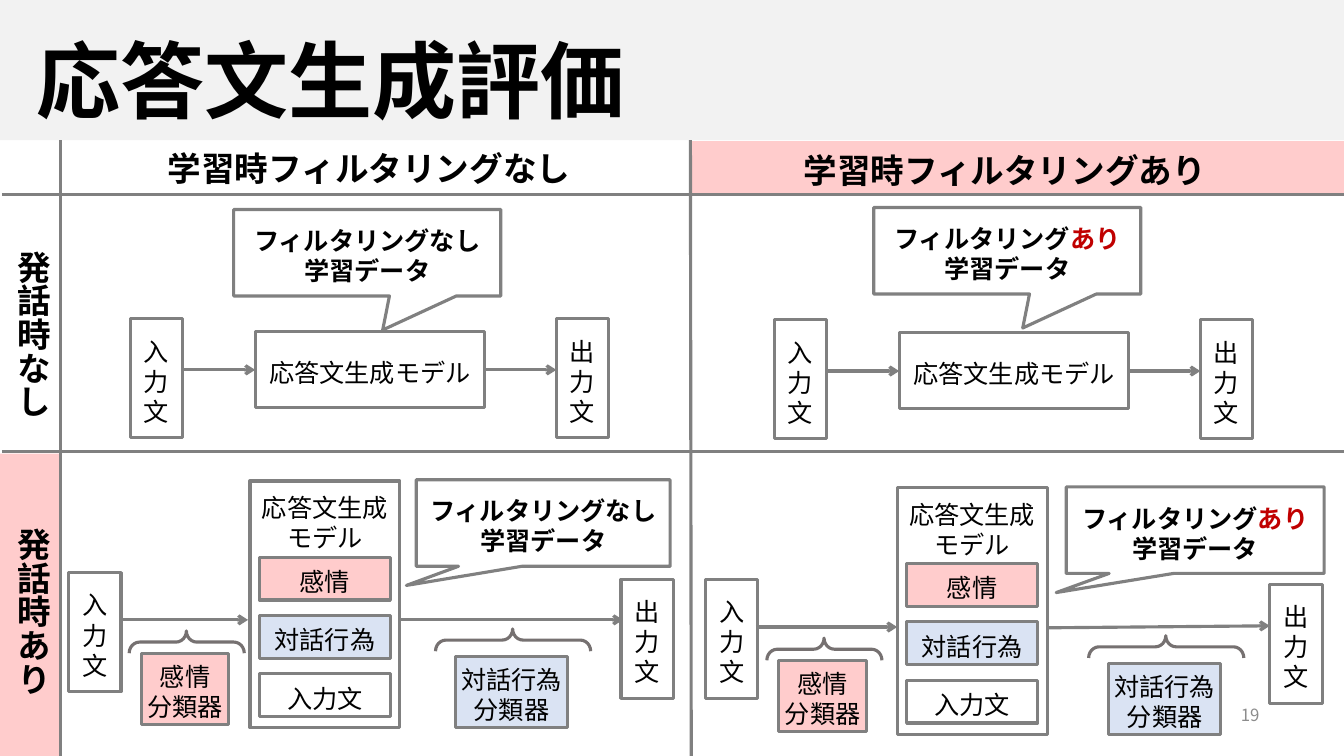
"""Build a slide comparing response generation with and without filtering."""
from lxml import etree
from pptx import Presentation, util as u
from pptx.dml.color import RGBColor
from pptx.enum import shapes, text
from pptx.oxml.ns import qn

Cm, Pt = u.Cm, u.Pt
hue = RGBColor.from_string
Kind, Align = shapes.MSO_SHAPE, text.PP_ALIGN
FONT = "Noto Sans CJK JP"
GREY, PINK, BLUE, RED = "808080", "FFCCCC", "DAE3F3", "C00000"
TALL, DATA = (1.32, 3), "学習データ"


def write(shape, words, size=18, bold=False, align=Align.CENTER, color="000000"):
    """Set the text; what follows a bar in a line is red."""
    frame = shape.text_frame
    frame.text = words.replace("|", "")
    frame.word_wrap, frame.auto_size = True, text.MSO_AUTO_SIZE.NONE
    frame.vertical_anchor = text.MSO_ANCHOR.MIDDLE
    frame.margin_left = frame.margin_right = Cm(0.1)
    frame.margin_top, frame.margin_bottom = Pt(size * 0.23), 0
    for para, line in zip(frame.paragraphs, words.split("\n")):
        para.alignment, para.line_spacing = align, Pt(size * 1.19)
        parts = line.split("|")
        para.runs[0].text = parts[0]
        for part in parts[1:]:
            para.add_run().text = part
        for run, tint in zip(para.runs, (color, RED)):
            font = run.font
            font.name, font.size, font.bold = FONT, Pt(size), bold
            font.color.rgb = hue(tint)
            etree.SubElement(font._element, qn("a:ea"), typeface=FONT)


def box(x, y, w, h, words="", fill=None, line=GREY, kind=Kind.RECTANGLE, adj=(), **look):
    """Draw a shape with optional fill, outline and text."""
    shape = slide.shapes.add_shape(kind, Cm(x), Cm(y), Cm(w), Cm(h))
    shape.shadow.inherit = False
    for i, ratio in enumerate(adj):
        shape.adjustments[i] = ratio
    if fill:
        shape.fill.solid()
        shape.fill.fore_color.rgb = hue(fill)
    else:
        shape.fill.background()
    if line:
        shape.line.color.rgb = hue(line)
        shape.line.width = Pt(2.25)
    else:
        shape.line.fill.background()
    if words:
        write(shape, words, **look)
    return shape


deck = Presentation()
deck.slide_width, deck.slide_height = Cm(33.87), Cm(19.05)
slide = deck.slides.add_slide(deck.slide_layouts[5])

title = slide.shapes.title
title.left, title.top, title.width, title.height = 0, 0, Cm(33.87), Cm(3.53)
title.fill.solid()
title.fill.fore_color.rgb = hue("F2F2F2")
write(title, "応答文生成評価", 60, True, Align.LEFT)
title.text_frame.margin_left = Cm(0.91)

box(0, 11.43, 1.52, 7.62, fill=PINK, line=None)
box(17.42, 3.56, 16.45, 1.3, fill=PINK, line=None)

for x, y, word in ((3.6, 3.5, "なし"), (19.62, 3.56, "あり")):
    head = slide.shapes.add_textbox(Cm(x), Cm(y), Cm(11.4), Cm(1.28))
    write(head, "学習時フィルタリング" + word, 24, True)

for y, word in ((6.07, "なし"), (13.06, "あり")):
    side = slide.shapes.add_textbox(Cm(0.13), Cm(y), Cm(1.4), Cm(4.8))
    write(side, "発話時" + word, 24, True, Align.LEFT)
    frame = side.text_frame
    frame.margin_top = Cm(0.25)
    frame.margin_left = frame.margin_right = 0
    frame.paragraphs[0].line_spacing = 1.0
    frame._txBody.bodyPr.set("vert", "eaVert")

page = slide.shapes.add_textbox(Cm(24.38), Cm(17.45), Cm(7.46), Cm(1.02))
write(page, "19", 12, align=Align.RIGHT, color="8C8C8C")

for x, y, tip, word in ((0, 0, (5.89, 5.28), "なし"), (16.23, 0.03, (22.02, 5.23), "|あり")):
    box(3.28 + x, 8.03 + y, *TALL, "入力文")
    box(6.43 + x, 8.36 + y, 5.79, 1.9, "応答文生成モデル")
    box(14.02 + x, 8.03 + y, *TALL, "出力文")
    box(*tip, 6.73, 2.18, f"フィルタリング{word}\n{DATA}", bold=True,
        kind=Kind.RECTANGULAR_CALLOUT, adj=(0.058, 0.893))

cells = (
    ((1.73, 14.43), (15.65, 14.6), (6.3, 12.12), (3.56, 16.46), (11.48, 16.54),
     (10.49, 12.09, 6.4), "なし"),
    ((17.78, 14.6), (32, 14.73), (22.61, 12.28), (19.63, 16.64), (27.94, 16.71),
     (26.87, 12.27, 6.5), "|あり"),
)
for enter, leave, (x, y), mood, act, tip, word in cells:
    box(*enter, *TALL, "入力文")
    box(*leave, *TALL, "出力文")
    model = box(x, y, 3.78, 6.22, "応答文生成モデル")
    model.text_frame.vertical_anchor = text.MSO_ANCHOR.TOP
    model.text_frame.margin_top = Cm(0.3)
    for i, (name, fill) in enumerate((("感情", PINK), ("対話行為", BLUE), ("入力文", None))):
        box(x + 0.24, y + 1.92 + 1.47 * i, 3.3, 1.08, name, fill)
    for (left, top), w, name, fill, span, lift in (
            (mood, 2.21, "感情", PINK, 2.9, 0.28), (act, 2.82, "対話行為", BLUE, 3.91, 0.41)):
        box(left, top, w, 1.8, name + "\n分類器", fill)
        mid = left + w / 2 + 0.04
        brace = box(mid - 0.28, top - lift - span / 2, 0.56, span, line="767171",
                    kind=Kind.LEFT_BRACE, adj=(0.467, 0.503))
        brace.rotation = 90
    box(*tip, 2.18, f"フィルタリング{word}\n{DATA}", bold=True,
        kind=Kind.RECTANGULAR_CALLOUT, adj=(-0.539, 0.722))

rules = ((17.4, 3.53, 17.42, 19.05), (1.52, 3.53, 1.52, 19.05),
         (0.05, 4.9, 33.87, 4.9), (0.05, 11.38, 33.87, 11.38))
arrows = ((4.6, 9.32, 6.43, 9.32), (12.22, 9.32, 14.02, 9.32),
          (20.83, 9.35, 22.66, 9.35), (28.45, 9.35, 30.25, 9.35),
          (3.05, 15.62, 6.25, 15.62), (10.06, 15.62, 15.7, 15.62),
          (19.05, 15.8, 22.61, 15.8), (26.37, 15.82, 32, 15.77))
for ends in rules + arrows:
    link = slide.shapes.add_connector(shapes.MSO_CONNECTOR.STRAIGHT, *map(Cm, ends))
    link.line.color.rgb = hue(GREY)
    link.line.width = Pt(2.25)
    if ends in arrows:
        etree.SubElement(link.line._get_or_add_ln(), qn("a:tailEnd"), type="arrow")
    etree.SubElement(link._element.spPr, qn("a:effectLst"))

deck.save("out.pptx")
